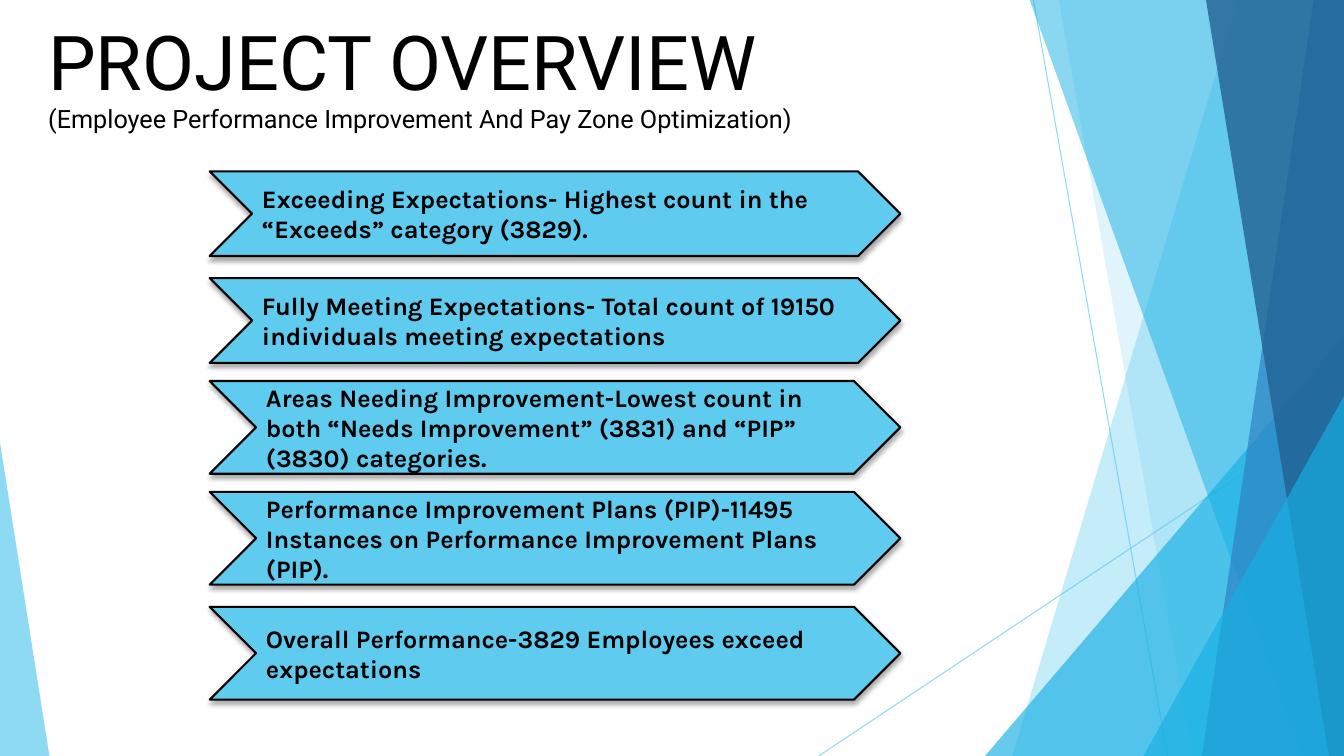
import lxml.etree
import pptx
import pptx.dml.color
import pptx.enum.shapes
import pptx.enum.text
import pptx.oxml.ns
import pptx.util

Inches = pptx.util.Inches
Pt = pptx.util.Pt
MSO_SHAPE = pptx.enum.shapes.MSO_SHAPE
qn = pptx.oxml.ns.qn

COLORS = {
    "sky": "5FCBEF",
    "cyan": "17B0E4",
    "blue": "2E83C3",
    "navy": "226292",
    "black": "000000",
}


def paint(fill, color, opacity=100):
    """Set a solid colour with an opacity in percent."""
    fill.solid()
    fill.fore_color.rgb = pptx.dml.color.RGBColor.from_string(COLORS[color])
    if opacity < 100:
        color_element = fill._xPr.find(qn("a:solidFill"))[0]
        lxml.etree.SubElement(color_element, qn("a:alpha"), val=str(opacity * 1000))


def write(shape, text, font="Roboto", size=18, bold=False,
          anchor=pptx.enum.text.MSO_ANCHOR.TOP):
    frame = shape.text_frame
    frame.word_wrap = True
    frame.vertical_anchor = anchor
    paragraph = frame.paragraphs[0]
    paragraph.alignment = pptx.enum.text.PP_ALIGN.LEFT
    run = paragraph.add_run()
    run.text = text
    run.font.name = font
    run.font.size = Pt(size)
    run.font.bold = bold
    paint(run.font.fill, "black")


presentation = pptx.Presentation()
presentation.slide_width = Inches(13.33)
presentation.slide_height = Inches(7.5)
slide = presentation.slides.add_slide(presentation.slide_layouts[6])
shapes = slide.shapes

# Thin background lines
for x1, y1, x2, y2 in [(10.25, 0, 11.58, 7.5), (13.33, 4.03, 8.12, 7.5)]:
    connector = shapes.add_connector(
        pptx.enum.shapes.MSO_CONNECTOR.STRAIGHT,
        Inches(x1), Inches(y1), Inches(x2), Inches(y2))
    connector.line.width = Pt(0.75)
    paint(connector.line.fill, "sky", 70)
    lxml.etree.SubElement(connector._element.spPr, qn("a:effectLst"))

# Translucent facets: bands run from a top x and a bottom x to the right edge,
# triangles have a box and the position of their apex
facets = [
    ("band", (12.28, 10.04), "sky", 36),
    ("band", (10.5, 11.83), "sky", 20),
    ("triangle", (9.77, 3.33, 3.56, 4.17, 1), "cyan", 66),
    ("band", (10.21, 12.91), "cyan", 50),
    ("band", (13.03, 11.92), "blue", 70),
    ("band", (11.96, 13.18), "navy", 80),
    ("triangle", (11.34, 3.93, 1.99, 3.57, 1), "cyan", 66),
    ("triangle", (0, 4.39, 0.49, 3.11, 0), "sky", 70),
]
for kind, geometry, color, opacity in facets:
    if kind == "band":
        top_x, bottom_x = geometry
        builder = shapes.build_freeform(Inches(top_x), Inches(-0.01))
        corners = [(13.33, -0.01), (13.33, 7.5), (bottom_x, 7.5)]
        builder.add_line_segments([(Inches(x), Inches(y)) for x, y in corners])
        facet = builder.convert_to_shape()
    else:
        *box, apex = geometry
        facet = shapes.add_shape(MSO_SHAPE.ISOSCELES_TRIANGLE, *map(Inches, box))
        facet.adjustments[0] = apex
    facet.shadow.inherit = False
    facet.line.fill.background()
    paint(facet.fill, color, opacity)

# Title and subtitle
headings = [
    ("PROJECT OVERVIEW", 0.1, 1.01, 54),
    ("(Employee Performance Improvement And Pay Zone Optimization)", 0.98, 0.4, 18),
]
for text, top, height, size in headings:
    text_box = shapes.add_textbox(Inches(0.38), Inches(top), Inches(7.81), Inches(height))
    write(text_box, text, size=size)

# Finding chevrons
findings = [
    (1.7, 0.84, "Exceeding Expectations- Highest count in the “Exceeds” category (3829)."),
    (2.76, 0.84, "Fully Meeting Expectations- Total count of 19150 individuals "
                 "meeting expectations"),
    (3.78, 0.92, "Areas Needing Improvement-Lowest count in both “Needs Improvement” "
                 "(3831) and “PIP” (3830) categories."),
    (4.88, 0.92, "Performance Improvement Plans (PIP)-11495 Instances on Performance "
                 "Improvement Plans (PIP)."),
    (6.02, 0.92, "Overall Performance-3829 Employees exceed expectations"),
]
for top, height, text in findings:
    chevron = shapes.add_shape(
        MSO_SHAPE.CHEVRON, Inches(2.08), Inches(top), Inches(6.85), Inches(height))
    paint(chevron.fill, "sky")
    paint(chevron.line.fill, "black")
    chevron.line.width = Pt(1.5)
    write(chevron, text, font="Karla", bold=True,
          anchor=pptx.enum.text.MSO_ANCHOR.MIDDLE)

    # Soft shadow straight below
    chevron.shadow.inherit = False
    effects = chevron._element.spPr.find(qn("a:effectLst"))
    shadow = lxml.etree.SubElement(
        effects, qn("a:outerShdw"), blurRad=str(Pt(3.5)), dist=str(Pt(2.2)),
        dir="5400000", algn="ctr", rotWithShape="0")
    shadow_color = lxml.etree.SubElement(shadow, qn("a:srgbClr"), val=COLORS["black"])
    lxml.etree.SubElement(shadow_color, qn("a:alpha"), val="32000")

presentation.save("out.pptx")
